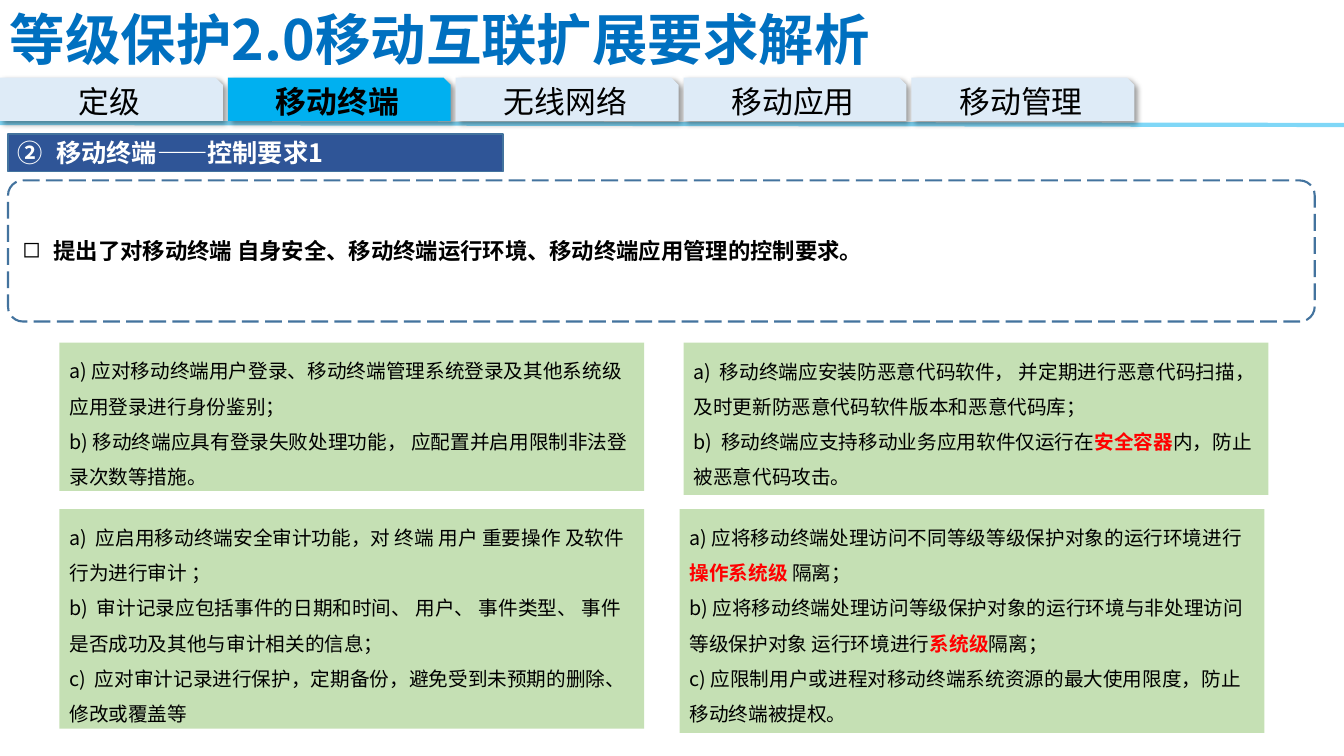
from pptx import Presentation
from pptx.dml.color import RGBColor
from pptx.enum.dml import MSO_LINE
from pptx.enum.shapes import MSO_CONNECTOR, MSO_SHAPE
from pptx.enum.text import MSO_ANCHOR, PP_ALIGN
from pptx.oxml import parse_xml
from pptx.oxml.ns import nsdecls, qn
from pptx.util import Inches, Pt

RECTANGLE = MSO_SHAPE.RECTANGLE
ROUNDED = MSO_SHAPE.ROUNDED_RECTANGLE
TAB = MSO_SHAPE.SNIP_1_RECTANGLE
STRAIGHT = MSO_CONNECTOR.STRAIGHT
LONG_DASH = MSO_LINE.LONG_DASH
TOP, MIDDLE = MSO_ANCHOR.TOP, MSO_ANCHOR.MIDDLE
LEFT, CENTER, JUSTIFY = PP_ALIGN.LEFT, PP_ALIGN.CENTER, PP_ALIGN.JUSTIFY


class Theme:
    font = "Noto Sans CJK SC"
    title, black, white, alert = "0070C0", "000000", "FFFFFF", "FF0000"
    tab, active, banner = "DEEBF7", "00B0F0", "2F5597"
    outline, card = "43739E", "C5E0B4"
    title_size, tab_size, banner_size, summary_size, card_size = 39.6, 22, 18, 16, 14


def drawing_xml(body):
    """Parse one DrawingML element, written without its namespace."""
    name, rest = body[1:].split(">", 1)
    end = "/" if name.endswith("/") else ""
    return parse_xml(f"<{name.rstrip('/')} {nsdecls('a')}{end}>{rest}")


def write_text(box, text, size, color=Theme.black, bold=False, align=LEFT, anchor=MIDDLE,
               line_spacing=None, space_after=None, indent=0, bullet=None):
    """Each line is a paragraph; words between asterisks are alerts."""
    frame = box.text_frame
    frame.word_wrap = True
    frame.vertical_anchor = anchor
    for number, line in enumerate(text.split("\n")):
        para = frame.add_paragraph() if number else frame.paragraphs[0]
        para.alignment = align
        if line_spacing:
            para.line_spacing = line_spacing
        if space_after:
            para.space_after = Pt(space_after)
        if bullet is not None:
            properties = para._p.get_or_add_pPr()
            properties.set("marL", str(Inches(indent)))
            properties.set("indent", str(-Inches(indent)))
            properties.append(drawing_xml(bullet))
        for position, words in enumerate(line.split("*")):
            if not words:
                continue
            alert = position % 2 == 1
            span = para.add_run()
            span.text = words
            span.font.name = Theme.font
            span.font.size = Pt(size)
            span.font.bold = bold or alert
            span.font.color.rgb = RGBColor.from_string(Theme.alert if alert else color)
            latin = span._r.rPr.find(qn("a:latin"))
            latin.addnext(drawing_xml(f'<a:ea typeface="{Theme.font}"/>'))


class Page:
    def __init__(self, deck, theme):
        self.theme = theme
        self.slide = deck.slides.add_slide(deck.slide_layouts[6])

    def shape(self, kind, left, top, width, height, fill=None, line=None, line_width=1):
        box = self.slide.shapes.add_shape(
            kind, Inches(left), Inches(top), Inches(width), Inches(height))
        box.shadow.inherit = False
        if fill:
            box.fill.solid()
            box.fill.fore_color.rgb = RGBColor.from_string(fill)
        else:
            box.fill.background()
        if line:
            box.line.color.rgb = RGBColor.from_string(line)
            box.line.width = Pt(line_width)
        else:
            box.line.fill.background()
        return box

    def title(self, text):
        box = self.slide.shapes.add_textbox(0, Inches(0.01), Inches(9.45), Inches(0.75))
        write_text(box, text, self.theme.title_size, self.theme.title, bold=True, align=JUSTIFY)

    def rule(self):
        line = self.slide.shapes.add_connector(
            STRAIGHT, 0, Inches(1.22), Inches(13.33), Inches(1.24))
        line.line.color.rgb = RGBColor.from_string(self.theme.active)
        line.line.width = Pt(3)
        color = line._element.spPr.find(".//" + qn("a:srgbClr"))
        color.append(drawing_xml('<a:alpha val="50000"/>'))
        line._element.spPr.append(drawing_xml("<a:effectLst/>"))

    def tab(self, left, text, active):
        box = self.shape(TAB, left, 0.77, 2.21, 0.43,
                         self.theme.active if active else self.theme.tab)
        effects = box._element.spPr.find(qn("a:effectLst"))
        effects.append(drawing_xml(
            '<a:outerShdw blurRad="50800" dist="38100" dir="2700000" algn="tl" rotWithShape="0">'
            f'<a:srgbClr val="{self.theme.black}"><a:alpha val="40000"/></a:srgbClr>'
            '</a:outerShdw>'))
        write_text(box, text, self.theme.tab_size, bold=active, align=CENTER)

    def banner(self, text):
        box = self.shape(RECTANGLE, 0.08, 1.33, 4.91, 0.37, self.theme.banner, self.theme.outline)
        write_text(box, text, self.theme.banner_size, self.theme.white, bold=True, align=JUSTIFY,
                   indent=0.38, bullet='<a:buAutoNum type="circleNumDbPlain" startAt="2"/>')

    def summary(self, text):
        box = self.shape(ROUNDED, 0.08, 1.79, 12.96, 1.4, line=self.theme.outline, line_width=1.5)
        box.adjustments[0] = 0.106
        box.line.dash_style = LONG_DASH
        write_text(box, text, self.theme.summary_size, bold=True, align=JUSTIFY,
                   space_after=6, indent=0.31, bullet='<a:buChar char="◻"/>')

    def card(self, left, top, height, text):
        box = self.shape(RECTANGLE, left, top, 5.8, height, self.theme.card)
        write_text(box, text, self.theme.card_size, anchor=TOP, line_spacing=1.5)


TABS = ["定级", "移动终端", "无线网络", "移动应用", "移动管理"]
CARDS = [
    (0.59, 3.4, 1.47,
     "a) 应对移动终端用户登录、移动终端管理系统登录及其他系统级应用登录进行身份鉴别；\n"
     "b) 移动终端应具有登录失败处理功能， 应配置并启用限制非法登录次数等措施。"),
    (0.59, 5.05, 2.18,
     "a)  应启用移动终端安全审计功能，对 终端 用户 重要操作 及软件行为进行审计 ；\n"
     "b)  审计记录应包括事件的日期和时间、 用户、 事件类型、 事件是否成功及其他与审计相关的信息；\n"
     "c)  应对审计记录进行保护，定期备份，避免受到未预期的删除、 修改或覆盖等"),
    (6.78, 3.4, 1.51,
     "a)  移动终端应安装防恶意代码软件， 并定期进行恶意代码扫描， 及时更新防恶意代码软件版本和恶意代码库；\n"
     "b)  移动终端应支持移动业务应用软件仅运行在*安全容器*内，防止 被恶意代码攻击。"),
    (6.74, 5.05, 2.22,
     "a) 应将移动终端处理访问不同等级等级保护对象的运行环境进行*操作系统级 *隔离；\n"
     "b) 应将移动终端处理访问等级保护对象的运行环境与非处理访问等级保护对象 运行环境进行*系统级*隔离；\n"
     "c) 应限制用户或进程对移动终端系统资源的最大使用限度，防止移动终端被提权。"),
]


def main():
    deck = Presentation()
    deck.slide_width, deck.slide_height = Inches(13.33), Inches(7.5)
    page = Page(deck, Theme)

    # Heading and navigation tabs
    page.rule()
    page.title("等级保护2.0移动互联扩展要求解析")
    for number, name in enumerate(TABS):
        page.tab(2.26 * number, name, active=number == 1)

    # Section banner and summary
    page.banner("移动终端——控制要求1")
    page.summary("提出了对移动终端 自身安全、移动终端运行环境、移动终端应用管理的控制要求。")

    # Requirement cards
    for left, top, height, text in CARDS:
        page.card(left, top, height, text)

    deck.save("out.pptx")


if __name__ == "__main__":
    main()
